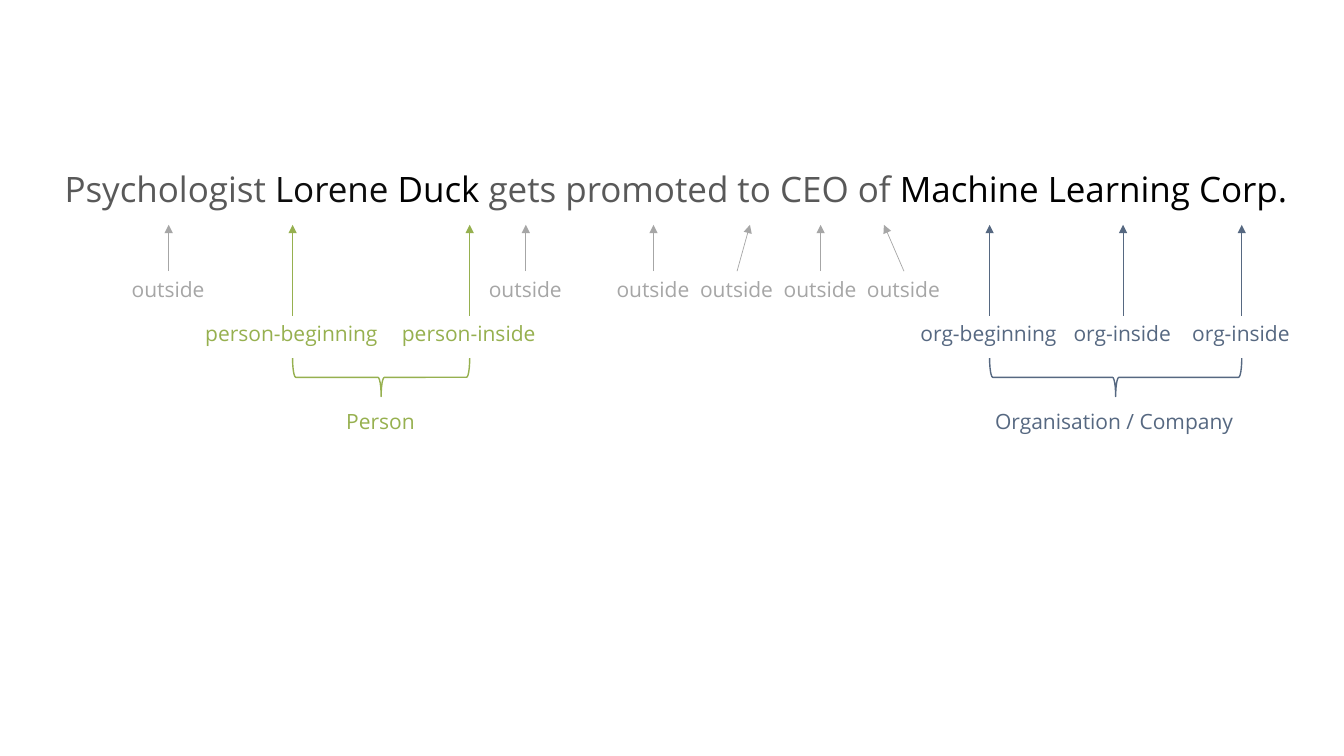
from dataclasses import dataclass

from pptx import Presentation
from pptx.dml.color import RGBColor
from pptx.enum.shapes import MSO_CONNECTOR, MSO_SHAPE
from pptx.enum.text import MSO_ANCHOR, MSO_AUTO_SIZE
from pptx.oxml.ns import qn
from pptx.shapes.autoshape import Shape
from pptx.slide import Slide
from pptx.util import Pt
from lxml.etree import SubElement

FONT = "Open Sans"
COLORS = {
    "sentence": "595959",
    "first_name": "0D0D0D",
    "entity": "000000",
    "outside": "A6A6A6",
    "person": "96B04F",
    "org": "566881",
}
SENTENCE = [
    ("Psychologist ", "sentence"),
    ("Lorene", "first_name"),
    (" Duck ", "entity"),
    ("gets promoted to CEO of ", "sentence"),
    ("Machine Learning Corp.", "entity"),
]
TIP_Y = 160.6
OUTSIDE_Y = 193.7
ENTITY_Y = 225.4
GROUP_Y = 288
LABEL_H = 25.2
BRACE_Y = 269.5
BRACE_DEPTH = 27.4


@dataclass
class Tag:
    text: str
    color: str
    x: float
    width: float
    top: float
    lean: float = 0


@dataclass
class Group:
    text: str
    color: str
    width: float
    tags: list[Tag]


def outside(x: float, lean: float = 0) -> Tag:
    return Tag("outside", "outside", x, 67, OUTSIDE_Y, lean)


OUTSIDE_TAGS = [
    outside(120.5),
    outside(375.6),
    outside(466.8),
    outside(526.5, 9.2),
    outside(586.2),
    outside(645.7, -14.3),
]
GROUPS = [
    Group("Person", "person", 64, [
        Tag("person-beginning", "person", 209, 139, ENTITY_Y),
        Tag("person-inside", "person", 335.5, 111, ENTITY_Y),
    ]),
    Group("Organisation / Company", "org", 186.5, [
        Tag("org-beginning", "org", 706.9, 113, ENTITY_Y),
        Tag("org-inside", "org", 802.2, 85, ENTITY_Y),
        Tag("org-inside", "org", 887, 85, ENTITY_Y),
    ]),
]


def rgb(name: str) -> RGBColor:
    return RGBColor.from_string(COLORS[name])


def add_text(slide: Slide, runs: list[tuple[str, str]], left: float, top: float,
             width: float, height: float, size: float) -> Shape:
    sp = slide.shapes.add_textbox(Pt(left), Pt(top), Pt(width), Pt(height))
    tf = sp.text_frame
    tf.word_wrap = False
    tf.auto_size = MSO_AUTO_SIZE.SHAPE_TO_FIT_TEXT
    tf.vertical_anchor = MSO_ANCHOR.TOP
    p = tf.paragraphs[0]
    p.font.name = FONT
    p.font.size = Pt(size)
    for text, color in runs:
        r = p.add_run()
        r.text = text
        r.font.color.rgb = rgb(color)
    return sp


def add_label(slide: Slide, text: str, color: str, x: float, top: float,
              width: float) -> Shape:
    return add_text(slide, [(text, color)], x - width / 2, top, width, LABEL_H, 15)


def add_tag(slide: Slide, tag: Tag) -> None:
    label = add_label(slide, tag.text, tag.color, tag.x, tag.top, tag.width)
    arrow = slide.shapes.add_connector(
        MSO_CONNECTOR.STRAIGHT,
        Pt(tag.x), Pt(tag.top), Pt(tag.x + tag.lean), Pt(TIP_Y))
    arrow.begin_connect(label, 0)
    arrow.line.color.rgb = rgb(tag.color)
    arrow.line.width = Pt(0.5)
    SubElement(arrow.line._get_or_add_ln(), qn("a:tailEnd"), type="triangle")
    SubElement(arrow._element.spPr, qn("a:effectLst"))


def add_group(slide: Slide, group: Group) -> None:
    for tag in group.tags:
        add_tag(slide, tag)
    first, last = group.tags[0].x, group.tags[-1].x
    middle, span = (first + last) / 2, last - first
    brace = slide.shapes.add_shape(
        MSO_SHAPE.LEFT_BRACE,
        Pt(middle - BRACE_DEPTH / 2), Pt(BRACE_Y - span / 2),
        Pt(BRACE_DEPTH), Pt(span))
    brace.rotation = 270
    brace.shadow.inherit = False
    brace.fill.background()
    brace.line.color.rgb = rgb(group.color)
    brace.line.width = Pt(1)
    add_label(slide, group.text, group.color, middle, GROUP_Y, group.width)


def main() -> None:
    prs = Presentation()
    prs.slide_width, prs.slide_height = Pt(960), Pt(540)
    slide = prs.slides.add_slide(prs.slide_layouts[6])
    add_text(slide, SENTENCE, 39, 116, 899.3, 37.4, 25)
    for tag in OUTSIDE_TAGS:
        add_tag(slide, tag)
    for group in GROUPS:
        add_group(slide, group)
    prs.save("out.pptx")


if __name__ == "__main__":
    main()
